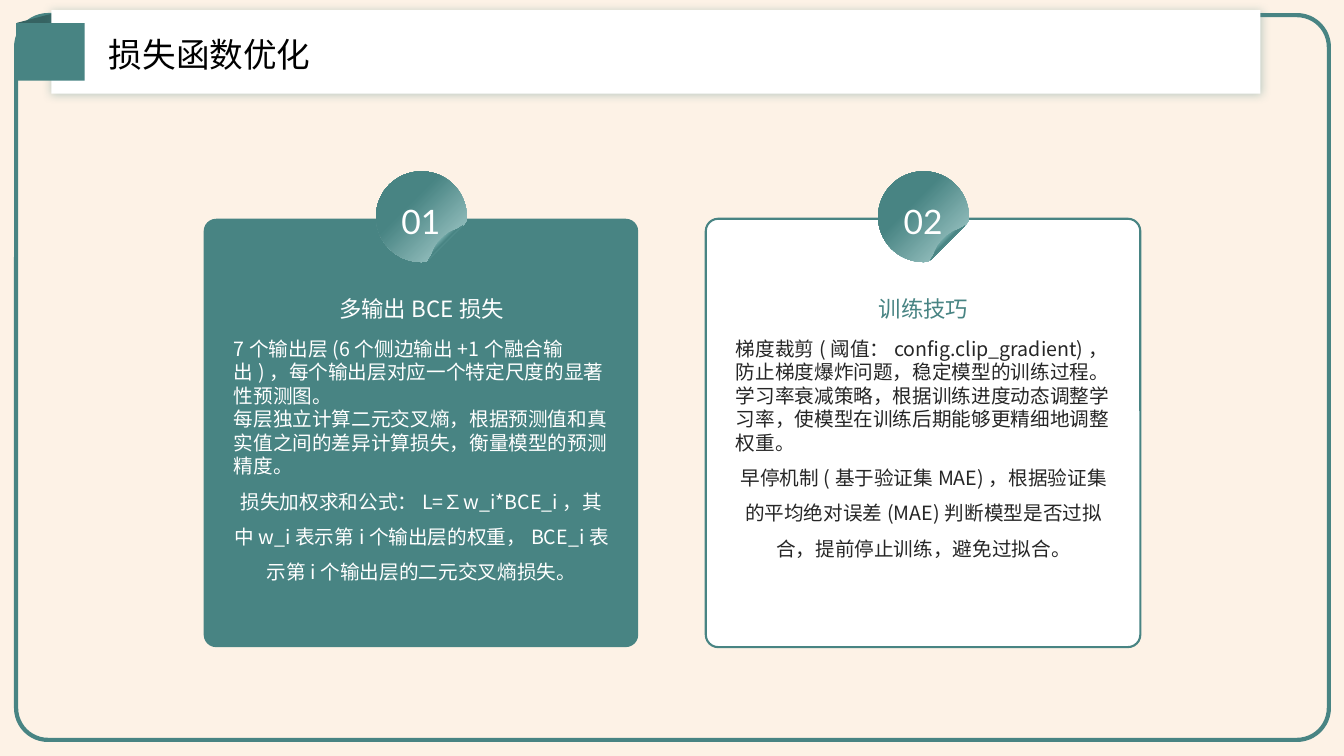
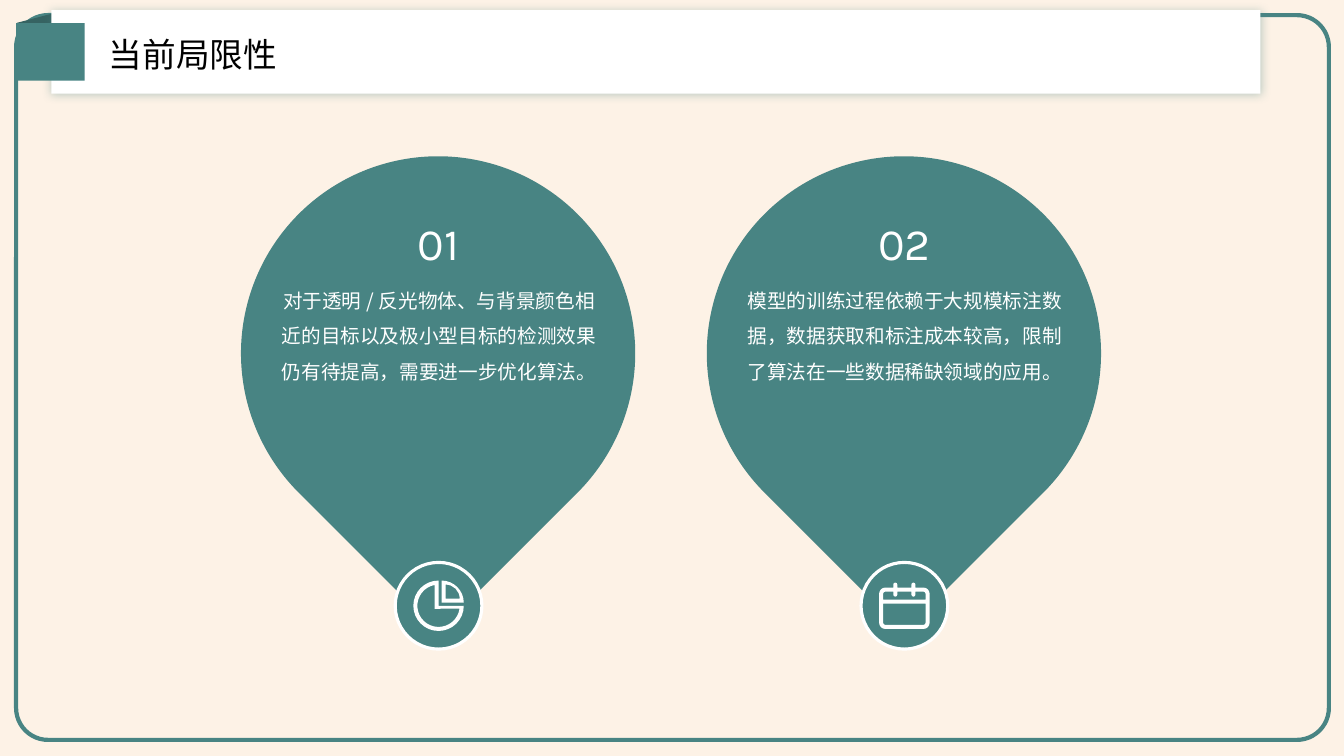
"""Build two slides on loss tuning and current limits."""
from math import ceil, cos, radians, sin, tan

from lxml import etree
from pptx import Presentation, util as u
from pptx.dml.color import RGBColor
from pptx.enum import shapes as es, text as et
from pptx.oxml import ns

TEAL, DARK, WHITE, SAND, INK = "488483", "366362", "FFFFFF", "FCE5CB", "262626"
SANS, LATO, KARLA = "Noto Sans CJK SC", "Lato", "Karla"
KIND = es.MSO_SHAPE
LEFT, MID = et.PP_ALIGN.LEFT, et.PP_ALIGN.CENTER

CARDS = [
    ("01", "多输出BCE损失", TEAL, None, WHITE, WHITE, [
        "7个输出层(6个侧边输出+1个融合输出)，每个输出层对应一个特定尺度的显著性预测图。",
        "每层独立计算二元交叉熵，根据预测值和真实值之间的差异计算损失，衡量模型的预测精度。",
        "损失加权求和公式：L=∑w_i*BCE_i，其中w_i表示第i个输出层的权重，BCE_i表示第i个输出层的二元交叉熵损失。"]),
    ("02", "训练技巧", WHITE, TEAL, TEAL, INK, [
        "梯度裁剪(阈值：config.clip_gradient)，防止梯度爆炸问题，稳定模型的训练过程。",
        "学习率衰减策略，根据训练进度动态调整学习率，使模型在训练后期能够更精细地调整权重。",
        "早停机制(基于验证集MAE)，根据验证集的平均绝对误差(MAE)判断模型是否过拟合，提前停止训练，避免过拟合。"]),
]

# Contours mix points (x, y), arcs (x, y, radius, from, to) and curves (three x, y pairs).
BADGE = [[(.53, .87), (.87, .53), (.89, .51, .9, .49, .9, .47), (.45, .45, .45, 360, 90),
          (.49, .9, .51, .89, .53, .87)]]
FOLD = [[(.65, .67), (.55, .77, .57, .83, .52, .88), (.86, .54),
         (.81, .59, .75, .57, .65, .67)]]
CHART = [
    [(.25, .25, .25, 0, 270), (.25, .25)],
    [(.25, .25, .21, 8, 259), (.21, .28)],
    [(.28, .22, .22, -90, 0), (.28, .22)],
    [(.32, .18, .14, -90, 0), (.32, .18)],
]
DIARY = [
    [(.06, .11, .06, 180, 270), (.14, .05), (.16, .02, .02, 180, 360), (.18, .05),
     (.32, .05), (.34, .02, .02, 180, 360), (.36, .05), (.44, .11, .06, 270, 360),
     (.44, .4, .06, 0, 90), (.06, .4, .06, 90, 180)],
    [(.04, .17), (.06, .11, .02, 180, 270), (.14, .09), (.16, .12, .02, 180, 0),
     (.18, .09), (.32, .09), (.34, .12, .02, 180, 0), (.36, .09),
     (.44, .11, .02, 270, 360), (.46, .17)],
    [(.04, .21), (.46, .21), (.44, .4, .02, 0, 90), (.06, .4, .02, 90, 180)],
]

PINS = [
    ("01", "对于透明/反光物体、与背景颜色相近的目标以及极小型目标的检测效果仍有待提高，需要进一步优化算法。",
     CHART, 5.76),
    ("02", "模型的训练过程依赖于大规模标注数据，数据获取和标注成本较高，限制了算法在一些数据稀缺领域的应用。",
     DIARY, 5.78),
]


def rgb(code):
    """Turn a hex string into a colour."""
    return RGBColor.from_string(code)


def node(root, tag, **attrs):
    """Add a drawing element below root."""
    return etree.SubElement(root, ns.qn("a:" + tag), {k: str(v) for k, v in attrs.items()})


def paint(shape, fill=None, line=None, width=1.5):
    """Set fill and line, and drop the shadow."""
    shape.shadow.inherit = False
    if fill:
        shape.fill.solid()
        shape.fill.fore_color.rgb = rgb(fill)
    else:
        shape.fill.background()
    if line:
        shape.line.color.rgb = rgb(line)
        shape.line.width = u.Pt(width)
    else:
        shape.line.fill.background()
    return shape


def draw(slide, kind, box, fill=None, line=None, width=1.5, adj=None, turn=0):
    """Add a preset shape."""
    shape = slide.shapes.add_shape(kind, *map(u.Inches, box))
    if adj is not None:
        shape.adjustments[0] = adj
    shape.rotation = turn
    return paint(shape, fill, line, width)


def bend(cx, cy, r, start, end):
    """Give an arc as its first point and then curves."""
    count = ceil(abs(end - start) / 90)
    step = radians(end - start) / count
    pull = r * 4 / 3 * tan(step / 4)
    yield cx + r * cos(radians(start)), cy + r * sin(radians(start))
    for i in range(count):
        a = radians(start) + i * step
        b = a + step
        ax, ay, bx, by = cos(a), sin(a), cos(b), sin(b)
        yield (cx + r * ax - pull * ay, cy + r * ay + pull * ax,
               cx + r * bx + pull * by, cy + r * by - pull * bx, cx + r * bx, cy + r * by)


def trace(loop):
    """Turn a contour into points and curves, without doubled points."""
    parts = []
    for part in loop:
        for piece in bend(*part) if len(part) == 5 else [part]:
            piece = tuple(round(n, 4) for n in piece)
            if len(piece) == 6 or not parts or parts[-1][-2:] != piece:
                parts.append(piece)
    return parts


def outline(slide, loops, x, y, fill):
    """Add a freeform made of closed loops with true curves."""
    pen, curved = None, []
    for loop in loops:
        parts = trace(loop)
        dots = [(u.Inches(x + p[i]), u.Inches(y + p[i + 1]))
                for p in parts for i in range(0, len(p), 2)]
        if pen is None:
            pen = slide.shapes.build_freeform(*dots[0], scale=1.0)
        else:
            pen.move_to(*dots[0])
        pen.add_line_segments(dots[1:], close=False)
        curved.append([len(p) == 6 for p in parts[1:]])
    shape = pen.convert_to_shape()
    route = shape._element.spPr.find(".//" + ns.qn("a:path"))
    steps = iter(list(route))
    for flags in curved:
        last = next(steps)
        for flag in flags:
            last = next(steps)
            if flag:
                last.tag = ns.qn("a:cubicBezTo")
                for _ in range(2):
                    extra = next(steps)
                    last.append(extra[0])
                    route.remove(extra)
        last.addnext(etree.Element(ns.qn("a:close")))
    return paint(shape, fill)


def blend(shape, stops, angle=None):
    """Give a shape a linear blend, or a round one from its top left."""
    grad = etree.Element(ns.qn("a:gradFill"), rotWithShape="1")
    steps = node(grad, "gsLst")
    for pos, code in stops:
        node(node(steps, "gs", pos=pos * 1000), "srgbClr", val=code)
    if angle is None:
        node(node(grad, "path", path="circle"), "fillToRect", r=100000, b=100000)
    else:
        node(grad, "lin", ang=angle * 60000, scaled=0)
    props = shape._element.spPr
    props.replace(props.find(ns.qn("a:solidFill")), grad)


def write(shape, paras, size, code, font=SANS, inset=True, anchor=et.MSO_ANCHOR.TOP):
    """Fill a shape with paragraphs of (text, alignment, spacing)."""
    frame = shape.text_frame
    frame.word_wrap = True
    frame.auto_size = et.MSO_AUTO_SIZE.NONE
    frame.vertical_anchor = anchor
    if not inset:
        frame.margin_left = frame.margin_right = frame.margin_top = frame.margin_bottom = 0
    for i, (words, align, gap) in enumerate(paras):
        para = frame.add_paragraph() if i else frame.paragraphs[0]
        para.alignment, para.line_spacing = align, gap
        run = para.add_run()
        run.text = words
        run.font.size, run.font.name = u.Pt(size), font
        run.font.color.rgb = rgb(code)
        node(run._r.get_or_add_rPr(), "ea", typeface=font)


def label(slide, box, paras, size, code, **style):
    """Add a text box."""
    write(slide.shapes.add_textbox(*map(u.Inches, box)), paras, size, code, **style)


def begin(deck):
    """Add a slide with the sand ground and the teal frame."""
    slide = deck.slides.add_slide(deck.slide_layouts[5])
    ground = draw(slide, KIND.RECTANGLE, (0, 0, 13.33, 7.5), SAND)
    node(ground._element.spPr.find(".//" + ns.qn("a:srgbClr")), "alpha", val=48000)
    draw(slide, KIND.ROUNDED_RECTANGLE, (.16, .15, 13.02, 7.19), None, TEAL, 3, .044)
    return slide


def head(slide, words):
    """Add the title ribbon above the content."""
    draw(slide, KIND.RECTANGLE, (.22, .16, .47, .47), DARK, turn=345.4)
    band = draw(slide, KIND.RECTANGLE, (.51, .1, 11.99, .83), WHITE)
    glow = node(band._element.spPr.find(ns.qn("a:effectLst")), "outerShdw",
                blurRad=u.Pt(7), dist=0, dir=0, algn="ctr", rotWithShape=0)
    node(node(glow, "srgbClr", val=TEAL), "alpha", val=36000)
    title = slide.shapes.title
    title.left, title.top, title.width, title.height = map(u.Inches, (1.08, .25, 8.51, .54))
    write(title, [(words, LEFT, 1.1)], 24, "000000", inset=False, anchor=et.MSO_ANCHOR.MIDDLE)
    slide.shapes._spTree.append(title._element)
    draw(slide, KIND.RECTANGLE, (.16, .23, .68, .57), TEAL)


def losses(deck):
    """Build the slide with two cards."""
    slide = begin(deck)
    for i, (num, name, fill, line, tone, ink, paras) in enumerate(CARDS):
        x = 2.02 + 4.98 * i
        draw(slide, KIND.ROUNDED_RECTANGLE, (x, 2.17, 4.31, 4.25), fill, line, adj=.029)
        *top, last = paras
        body = [(p, LEFT, 1.0) for p in top] + [(last, MID, 1.5)]
        label(slide, (x + .2, 3.29, 3.92, 2.96), body, 14, ink)
        label(slide, (x + .2, 2.67, 3.92, .76), [(name, MID, 1.1)], 16, tone,
              anchor=et.MSO_ANCHOR.MIDDLE)
        blend(outline(slide, BADGE, x + 1.71, 1.7, TEAL), [(36, TEAL), (100, "B0D4D3")])
        blend(outline(slide, FOLD, x + 1.71, 1.7, TEAL),
              [(32, "88BEBD"), (47, TEAL), (63, "88BEBD")], 45)
        label(slide, (x + 1.71, 1.9, .89, .5), [(num, MID, 1.1)], 24, WHITE, font=LATO)
    head(slide, "损失函数优化")


def limits(deck):
    """Build the slide with two pins."""
    slide = begin(deck)
    for i, (num, words, icon, y) in enumerate(PINS):
        x = 2.39 + 4.62 * i
        draw(slide, KIND.TEAR, (x, 1.55, 3.91, 3.91), TEAL, turn=135)
        draw(slide, KIND.OVAL, (x + 1.53, 5.58, .86, .86), TEAL, WHITE, 2.25)
        label(slide, (x + .4, 2.75, 3.13, 2), [(words, MID, 1.5)], 14, WHITE, inset=False)
        outline(slide, icon, x + 1.71, y, WHITE)
        label(slide, (x + .79, 2.09, 2.34, .48), [(num, MID, 1.3)], 32, WHITE,
              font=KARLA, inset=False, anchor=et.MSO_ANCHOR.MIDDLE)
    head(slide, "当前局限性")


def main():
    """Build and save the deck."""
    deck = Presentation()
    deck.slide_width, deck.slide_height = u.Inches(13.33), u.Inches(7.5)
    losses(deck)
    limits(deck)
    deck.save("out.pptx")


if __name__ == "__main__":
    main()
